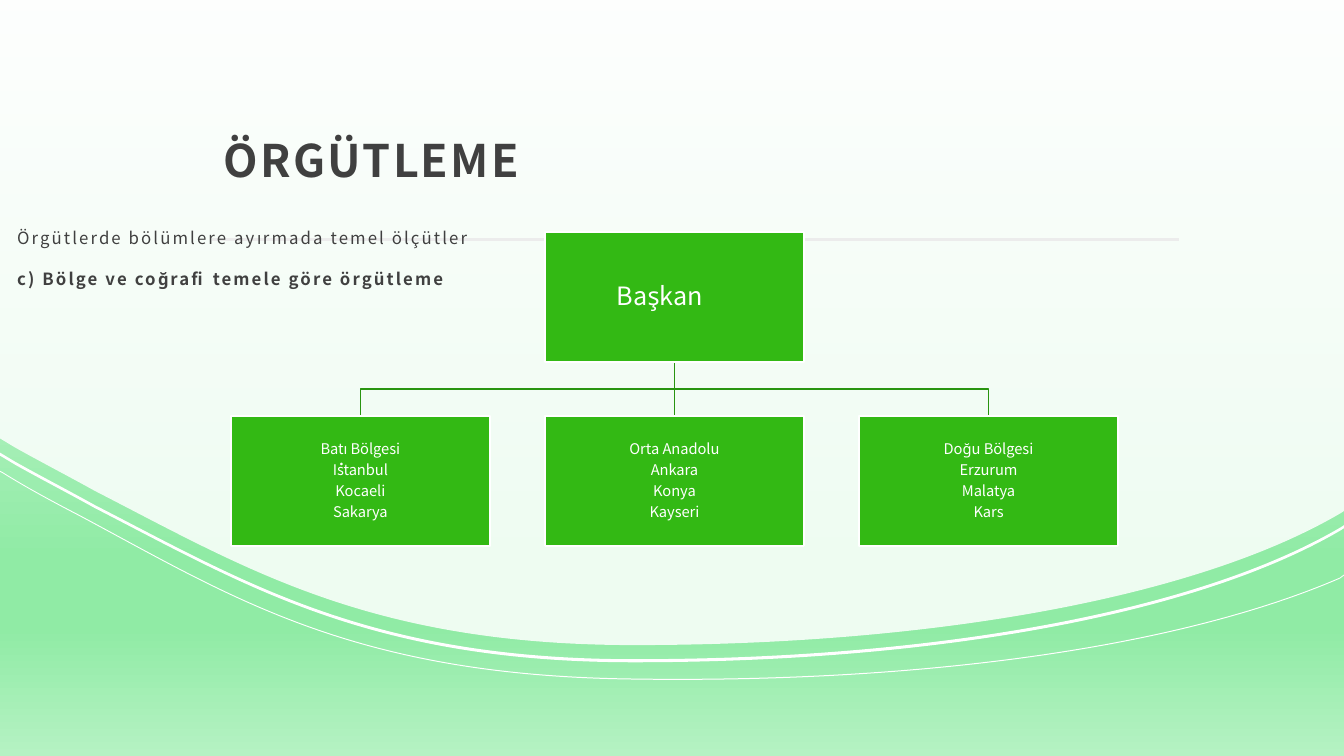
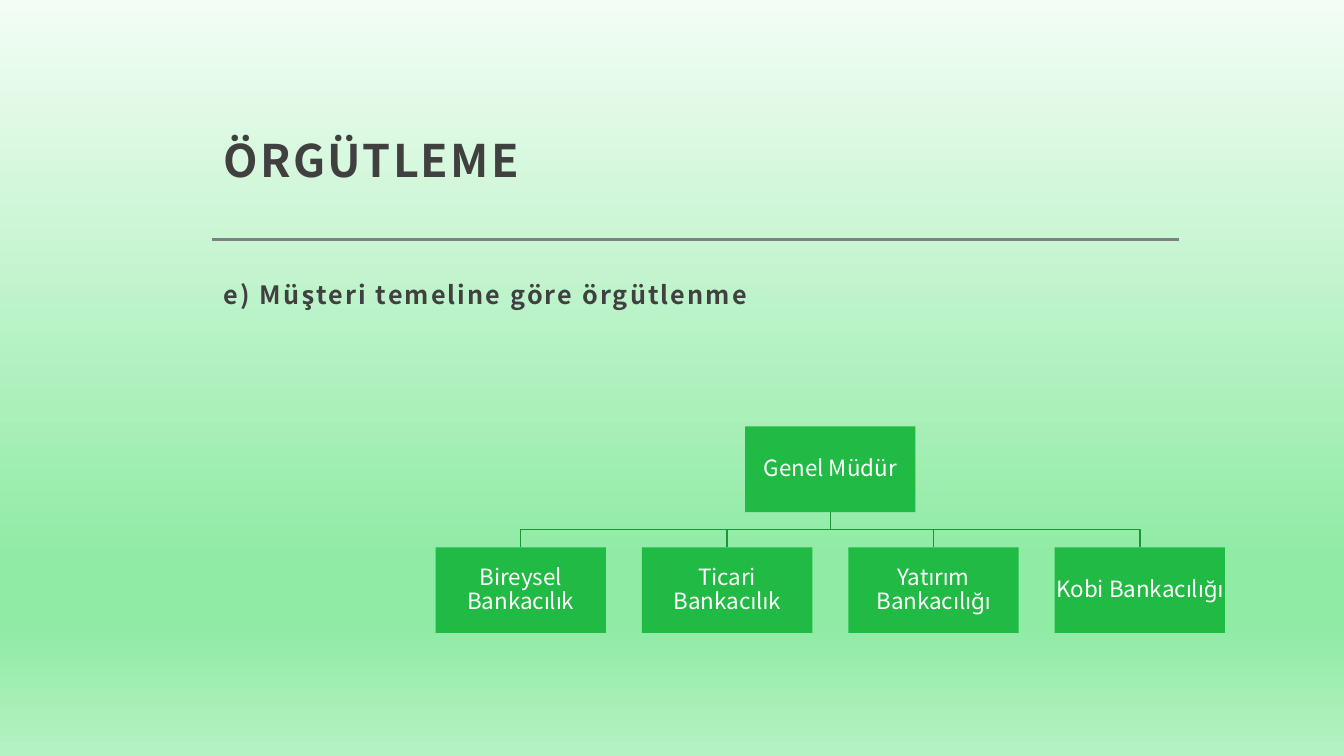
"""Build two slides on ways of dividing an organisation."""
import pptx
import pptx.util
import pptx.dml.color
import pptx.enum.shapes
import pptx.enum.text
import pptx.oxml.ns
import lxml.etree

WIDE, HIGH = 13.33, 7.5
FONT = "Noto Sans CJK JP"
INK, WHITE, GREY = "404040", "FFFFFF", "808080"
SKY = [(0, "F3FDF5"), (74, "90EBA5"), (83, "90EBA5"), (100, "B5F2C3")]
LEFT, SPAN, RULE = 2.1, 9.59, 2.38
INSET = (0.12, 0.12, 0.12, 0.1)
TIGHT = (0.01, 0.01, 0.01, 0.01)

RIM = [(WIDE, 5.07), (13.3, 5.09), (11.87, 5.93), (9.26, 6.4), (6.29, 6.4),
       (3.67, 6.4), (2.44, 5.64), (0.94, 4.87), (0.67, 4.72), (0.4, 4.58),
       (0.15, 4.44), (0, 4.35)]
LOW = [(WIDE, 5.7), (13.29, 5.73), (11.67, 6.43), (9.07, 6.78), (6.18, 6.73),
       (3.46, 6.68), (2.27, 5.9), (0.79, 5.11), (0.52, 4.97), (0.26, 4.83),
       (0.02, 4.68), (0, 4.67)]

PAGES = [
    dict(title="ÖRGÜTLEME", wave=True, body=(0.05, 2.06), size=12,
         lines=[("Örgütlerde bölümlere ayırmada temel ölçütler", False),
                ("c) Bölge ve coğrafi temele göre örgütleme", True)],
         chart=dict(head="Başkan", big=18, small=10.5, pad=0.3,
                    kids=[["Batı Bölgesi", "İstanbul", "Kocaeli", "Sakarya"],
                          ["Orta Anadolu", "Ankara", "Konya", "Kayseri"],
                          ["Doğu Bölgesi", "Erzurum", "Malatya", "Kars"]],
                    ends=(2.29, 8.52), tops=(2.3, 4.13), box=(2.57, 1.29),
                    fill="33B914", link="299410", edge=WHITE)),
    dict(title="ÖRGÜTLEME", wave=False, body=(LEFT, 2.53), size=18,
         lines=[("e) Müşteri temeline göre örgütlenme", True)],
         chart=dict(head="Genel Müdür", big=16, small=16, pad=0.01,
                    kids=[["Bireysel Bankacılık"], ["Ticari Bankacılık"],
                          ["Yatırım Bankacılığı"], ["Kobi Bankacılığı"]],
                    ends=(4.32, 10.46), tops=(4.23, 5.43), box=(1.69, 0.85),
                    fill="21BA45", link="1A9537", edge=None)),
]


def inch(*nums):
    return [pptx.util.Inches(n) for n in nums]


def paint(code):
    return pptx.dml.color.RGBColor.from_string(code)


def add(node, tag, **attrs):
    sub = lxml.etree.SubElement(node, pptx.oxml.ns.qn(tag))
    for key, val in attrs.items():
        sub.set(key, str(val))
    return sub


def backdrop(master):
    fill = master.background.fill
    fill.gradient()
    fill.gradient_angle = 270
    stops = master.element.find(".//" + pptx.oxml.ns.qn("a:gsLst"))
    for old in list(stops):
        stops.remove(old)
    for pos, code in SKY:
        add(add(stops, "a:gs", pos=pos * 1000), "a:srgbClr", val=code)


def setup(frame, inset, anchor):
    frame.word_wrap = True
    frame.vertical_anchor = anchor
    (frame.margin_left, frame.margin_top,
     frame.margin_right, frame.margin_bottom) = inch(*inset)


def write(frame, lines, size, color, space, before=0, after=0, track=0, align=None):
    for i, (text, bold) in enumerate(lines):
        para = frame.add_paragraph() if i else frame.paragraphs[0]
        para.line_spacing = space
        para.space_before = pptx.util.Pt(before if i else 0)
        para.space_after = pptx.util.Pt(after)
        para.alignment = align
        run = para.add_run()
        run.text = text
        run.font.size = pptx.util.Pt(size)
        run.font.bold = bold
        run.font.name = FONT
        run.font.color.rgb = paint(color)
        props = run.font._element
        props.set("spc", str(int(track * 100)))
        add(props, "a:ea", typeface=FONT)


def label(slide, place, lines, size, anchor, space, before=0):
    frame = slide.shapes.add_textbox(*inch(*place)).text_frame
    setup(frame, INSET, anchor)
    write(frame, lines, size, INK, space, before, track=1.5)


def ink(shape, color, width):
    shape.line.color.rgb = paint(color)
    shape.line.width = pptx.util.Pt(width)


def line(slide, start, end, color, width):
    wire = slide.shapes.add_connector(
        pptx.enum.shapes.MSO_CONNECTOR.STRAIGHT, *inch(*start, *end))
    ink(wire, color, width)
    add(wire._element.spPr, "a:effectLst")
    return wire


def outline(slide, dots, close):
    dots = [inch(*dot) for dot in dots]
    pen = slide.shapes.build_freeform(*dots[0], scale=1.0)
    pen.add_line_segments(dots[1:], close=close)
    shape = pen.convert_to_shape()
    shape.shadow.inherit = False
    return shape


def bend(shape, first, count):
    legs = list(shape._element.iter(pptx.oxml.ns.qn("a:lnTo")))
    for i in range(first + 1, first + count - 2, 3):
        curve = lxml.etree.Element(pptx.oxml.ns.qn("a:cubicBezTo"))
        legs[i].addprevious(curve)
        for leg in legs[i:i + 3]:
            curve.append(leg[0])
            leg.getparent().remove(leg)


def patch(slide, corners, edges, alpha=100):
    shape = outline(slide, corners + sum(edges, []), True)
    first = len(corners) + sum(len(edge) for edge in edges)
    for edge in edges[::-1]:
        first -= len(edge)
        bend(shape, first, len(edge))
    shape.fill.solid()
    shape.fill.fore_color.rgb = paint(WHITE)
    shape.line.fill.background()
    if alpha < 100:
        tint = shape._element.spPr.find(".//" + pptx.oxml.ns.qn("a:srgbClr"))
        add(tint, "a:alpha", val=alpha * 1000)


def drop(edge, down):
    return [(x, y + down) for x, y in edge]


def wash(slide):
    patch(slide, [(0, 0), (WIDE, 0)], [RIM], 85)


def bands(slide):
    for edge, down, thick in [(LOW, 0, 0.01), (RIM, 0.14, 0.03)]:
        patch(slide, [], [drop(edge, down), drop(edge, down + thick)[::-1]])


def block(slide, chart, x, y, lines, size, pad=0.01):
    shape = slide.shapes.add_shape(pptx.enum.shapes.MSO_SHAPE.RECTANGLE,
                                   *inch(x, y, *chart["box"]))
    shape.shadow.inherit = False
    shape.fill.solid()
    shape.fill.fore_color.rgb = paint(chart["fill"])
    if chart["edge"]:
        ink(shape, chart["edge"], 1.5)
    else:
        shape.line.fill.background()
    setup(shape.text_frame, TIGHT[:2] + (pad,) + TIGHT[3:],
          pptx.enum.text.MSO_ANCHOR.MIDDLE)
    write(shape.text_frame, [(text, False) for text in lines], size, WHITE, 0.9,
          after=size * 0.35, align=pptx.enum.text.PP_ALIGN.CENTER)
    return shape


def tree(slide, chart):
    wide, high = chart["box"]
    top, row = chart["tops"]
    start, end = chart["ends"]
    step = (end - start) / (len(chart["kids"]) - 1)
    mid, foot = (start + end + wide) / 2, top + high
    bus = (foot + row) / 2
    head = block(slide, chart, mid - wide / 2, top, [chart["head"]],
                 chart["big"], chart["pad"])
    boxes = [head]
    for i, lines in enumerate(chart["kids"]):
        left = start + i * step
        kid = block(slide, chart, left, row, lines, chart["small"])
        boxes.append(kid)
        x = left + wide / 2
        if abs(x - mid) < 0.01:
            wire = line(slide, (mid, foot), (x, row), chart["link"], 1)
            wire.begin_connect(head, 2)
            wire.end_connect(kid, 0)
        else:
            elbow = outline(slide, [(mid, foot), (mid, bus), (x, bus), (x, row)], False)
            elbow.fill.background()
            ink(elbow, chart["link"], 1)
    for box in boxes:
        slide.shapes._spTree.append(box._element)


def main():
    deck = pptx.Presentation()
    deck.slide_width, deck.slide_height = inch(WIDE, HIGH)
    backdrop(deck.slide_master)
    anchor = pptx.enum.text.MSO_ANCHOR
    for page in PAGES:
        slide = deck.slides.add_slide(deck.slide_layouts[6])
        line(slide, (LEFT, RULE), (LEFT + SPAN, RULE), GREY, 2)
        if page["wave"]:
            wash(slide)
        label(slide, (LEFT, 0.48, SPAN, 1.47), [(page["title"], True)], 32,
              anchor.BOTTOM, 1.3)
        if page["wave"]:
            bands(slide)
        label(slide, (*page["body"], SPAN, 3.99), page["lines"], page["size"],
              anchor.TOP, 1.4, 9.3)
        tree(slide, page["chart"])
    deck.save("out.pptx")


if __name__ == "__main__":
    main()
